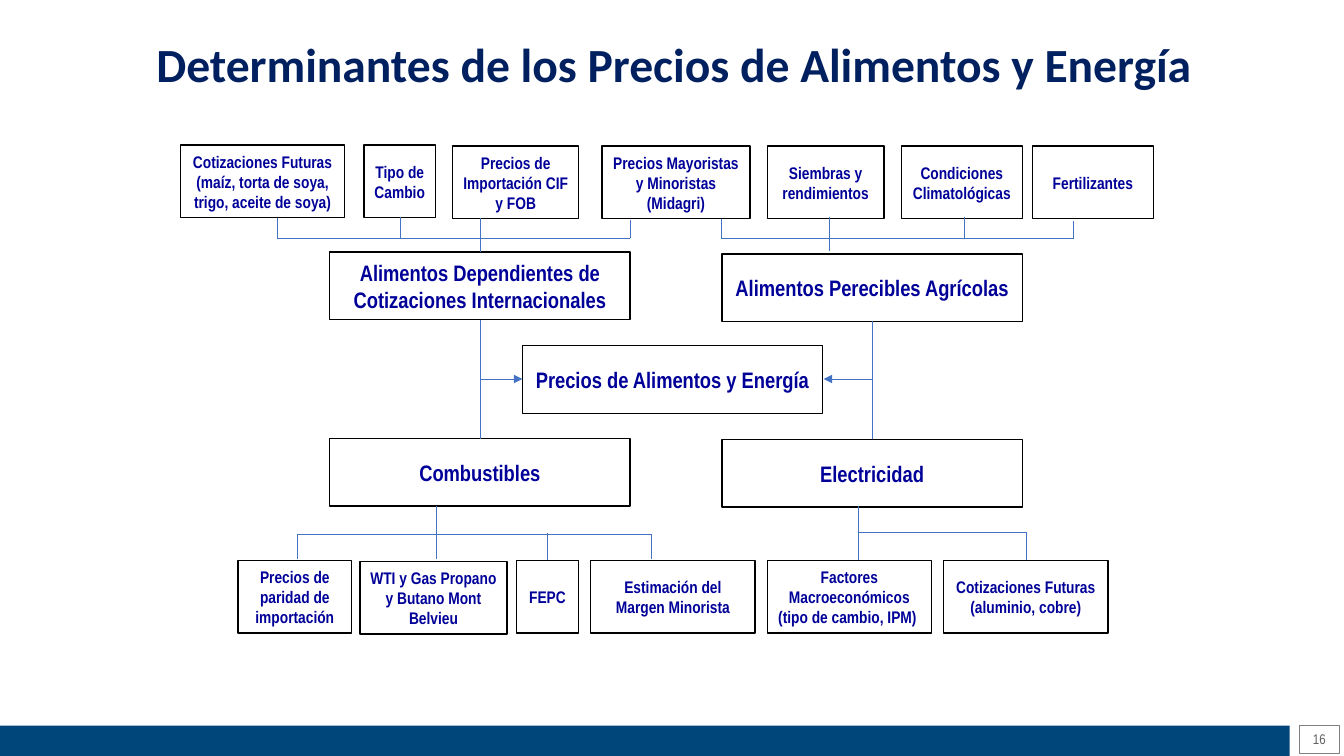
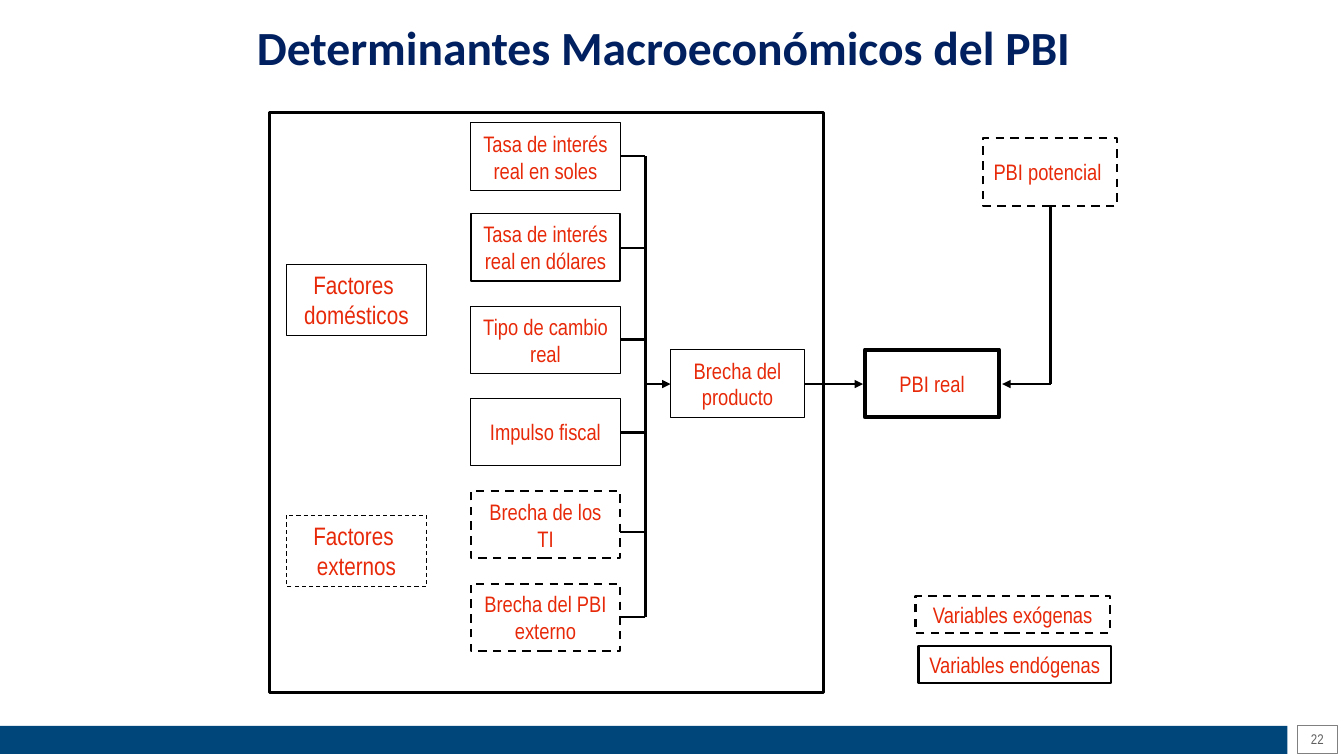
from lxml import etree
from pptx import Presentation
from pptx.dml.color import RGBColor
from pptx.enum.dml import MSO_LINE
from pptx.enum.shapes import MSO_CONNECTOR, MSO_SHAPE
from pptx.enum.text import MSO_ANCHOR, PP_ALIGN
from pptx.oxml.ns import qn
from pptx.util import Inches, Pt

# Colours and fonts
BLACK = RGBColor(0x00, 0x00, 0x00)
BAND_BLUE = RGBColor(0x00, 0x46, 0x7A)
TITLE_NAVY = RGBColor(0x00, 0x20, 0x60)
TEXT_BLUE = RGBColor(0x00, 0x00, 0x99)
TEXT_RED = RGBColor(0xE7, 0x29, 0x09)
LINK_BLUE = RGBColor(0x44, 0x72, 0xC4)
NUMBER_GRAY = RGBColor(0x5F, 0x5F, 0x5F)
FRAME_GRAY = RGBColor(0x80, 0x80, 0x80)
BODY_FONT = "Arial Narrow"
TITLE_FONT = "Calibri"


# Elements
def write(shape, text, *, size, color, font=BODY_FONT, bold=False,
          align=PP_ALIGN.CENTER, anchor=MSO_ANCHOR.MIDDLE, wrap=True):
    """Fill a shape with text, one paragraph for each line."""
    frame = shape.text_frame
    frame.word_wrap = wrap
    frame.vertical_anchor = anchor
    for index, line in enumerate(text.split("\n")):
        para = frame.paragraphs[0] if index == 0 else frame.add_paragraph()
        para.alignment = align
        span = para.add_run()
        span.text = line
        span.font.name = font
        span.font.size = Pt(size)
        span.font.bold = bold
        span.font.color.rgb = color


def add_box(page, left, top, width, height, *, fill=None, line=BLACK,
            weight=1, dashed=False):
    """Draw a rectangle; None for fill or line leaves it out."""
    box = page.shapes.add_shape(MSO_SHAPE.RECTANGLE, Inches(left), Inches(top),
                                Inches(width), Inches(height))
    box.shadow.inherit = False
    if fill is None:
        box.fill.background()
    else:
        box.fill.solid()
        box.fill.fore_color.rgb = fill
    if line is None:
        box.line.fill.background()
    else:
        box.line.color.rgb = line
        box.line.width = Pt(weight)
        if dashed:
            box.line.dash_style = MSO_LINE.DASH
    return box


def add_path(page, *points, color, weight, arrow=False):
    """Join points with straight lines; the arrowhead ends the last one."""
    for start, end in zip(points, points[1:]):
        link = page.shapes.add_connector(
            MSO_CONNECTOR.STRAIGHT, *(Inches(value) for value in start + end))
        link.line.color.rgb = color
        link.line.width = Pt(weight)
        etree.SubElement(link._element.spPr, qn("a:effectLst"))
        if arrow and end == points[-1]:
            head = etree.SubElement(link.line._get_or_add_ln(), qn("a:tailEnd"))
            head.set("type", "triangle")


def add_title(page, text, left, top, width, align):
    box = page.shapes.add_textbox(Inches(left), Inches(top),
                                  Inches(width), Inches(0.59))
    write(box, text, size=34, color=TITLE_NAVY, font=TITLE_FONT, bold=True,
          align=align)


def add_footer(page, number, band_width, band_height):
    add_box(page, 0, 7.2, band_width, band_height, fill=BAND_BLUE, line=None)
    frame = add_box(page, band_width + 0.1, 7.2, 0.39, 0.27,
                    line=FRAME_GRAY, weight=0.5)
    write(frame, str(number), size=10, color=NUMBER_GRAY)


# Slide: food and energy prices
def build_prices(page):
    add_footer(page, 16, 12.79, 0.33)
    add_title(page, "Determinantes de los Precios de Alimentos y Energía",
              0.39, 0.33, 12.59, PP_ALIGN.CENTER)

    # Groups and the result in the middle
    groups = [
        (3.27, 2.5, "Alimentos Dependientes de Cotizaciones Internacionales"),
        (7.16, 2.52, "Alimentos Perecibles Agrícolas"),
        (5.18, 3.43, "Precios de Alimentos y Energía"),
        (3.27, 4.35, "Combustibles"),
        (7.16, 4.36, "Electricidad"),
    ]
    for left, top, text in groups:
        write(add_box(page, left, top, 2.98, 0.67), text,
              size=16, color=TEXT_BLUE, bold=True)

    # Factors above and below
    factors = [
        (1.79, 1.44, 1.63,
         "Cotizaciones Futuras\n(maíz, torta de soya, trigo, aceite de soya)"),
        (3.61, 1.44, 0.71, "Tipo de Cambio"),
        (4.49, 1.45, 1.25, "Precios de Importación CIF y FOB"),
        (5.97, 1.45, 1.47, "Precios Mayoristas y Minoristas (Midagri)"),
        (7.61, 1.45, 1.16, "Siembras y rendimientos"),
        (8.94, 1.45, 1.2, "Condiciones Climatológicas"),
        (10.24, 1.45, 1.2, "Fertilizantes"),
        (2.36, 5.56, 1.13, "Precios de paridad de importación"),
        (3.57, 5.57, 1.46, "WTI y Gas Propano y Butano Mont Belvieu"),
        (5.12, 5.56, 0.62, "FEPC"),
        (5.86, 5.56, 1.63, "Estimación del Margen Minorista"),
        (7.61, 5.56, 1.63,
         "Factores Macroeconómicos\n(tipo de cambio, IPM) "),
        (9.36, 5.56, 1.63, "Cotizaciones Futuras\n(aluminio, cobre)"),
    ]
    for left, top, width, text in factors:
        write(add_box(page, left, top, width, 0.72), text,
              size=12, color=TEXT_BLUE, bold=True)

    # Brackets, then the single lines that meet them
    paths = [
        [(2.75, 2.16), (2.75, 2.36), (6.25, 2.36), (6.25, 2.18)],
        [(7.15, 2.17), (7.15, 2.36), (10.65, 2.36), (10.65, 2.19)],
        [(2.95, 5.55), (2.95, 5.3), (6.46, 5.3), (6.46, 5.55)],
        [(8.51, 5.28), (10.18, 5.28), (10.18, 5.56)],
        [(3.97, 2.15), (3.97, 2.36)],
        [(4.76, 2.16), (4.76, 2.5)],
        [(8.23, 2.15), (8.23, 2.49)],
        [(9.56, 2.15), (9.56, 2.36)],
        [(4.33, 5.02), (4.33, 5.55)],
        [(5.43, 5.29), (5.43, 5.56)],
        [(8.51, 5.02), (8.51, 5.56)],
    ]
    for points in paths:
        add_path(page, *points, color=LINK_BLUE, weight=0.5)

    # Spines between groups, each with an arrow to the result
    for spine, top, target in [(4.76, 3.17, 5.18), (8.65, 3.18, 8.17)]:
        add_path(page, (spine, top), (spine, 4.36),
                 color=LINK_BLUE, weight=0.5)
        add_path(page, (spine, 3.76), (target, 3.76),
                 color=LINK_BLUE, weight=0.5, arrow=True)


# Slide: drivers of output
def build_output(page):
    add_footer(page, 22, 12.77, 0.28)
    add_title(page, "Determinantes Macroeconómicos del PBI",
              2.45, 0.17, 9.18, PP_ALIGN.LEFT)
    add_box(page, 2.67, 1.12, 5.5, 5.75, weight=2)

    # Kinds of factor
    for top, text, dashed in [(2.62, "Factores \ndomésticos", False),
                              (5.11, "Factores \nexternos", True)]:
        write(add_box(page, 2.84, top, 1.39, 0.71, weight=0.75, dashed=dashed),
              text, size=18, color=TEXT_RED, anchor=MSO_ANCHOR.TOP)

    # Variables: left, top, width, weight, dashed, text
    variables = [
        (4.67, 1.22, 1.48, 0.75, False, "Tasa de interés real en soles"),
        (4.67, 2.12, 1.48, 1, False, "Tasa de interés real en dólares"),
        (4.67, 3.04, 1.48, 0.75, False, "Tipo de cambio real"),
        (4.67, 3.95, 1.48, 0.75, False, "Impulso fiscal"),
        (4.67, 4.87, 1.48, 1.5, True, "Brecha de los TI"),
        (4.67, 5.79, 1.48, 1.5, True, "Brecha del PBI externo"),
        (6.65, 3.47, 1.33, 0.75, False, "Brecha del producto"),
        (8.58, 3.47, 1.33, 3, False, "PBI real"),
        (9.75, 1.37, 1.33, 1.5, True, "PBI potencial "),
    ]
    for left, top, width, weight, dashed, text in variables:
        write(add_box(page, left, top, width, 0.67, weight=weight,
                      dashed=dashed), text, size=16, color=TEXT_RED)

    # Legend
    for left, top, width, dashed, text in [
            (9.08, 5.91, 1.93, True, "Variables exógenas"),
            (9.11, 6.41, 1.91, False, "Variables endógenas")]:
        write(add_box(page, left, top, width, 0.37, weight=1.5, dashed=dashed),
              text, size=16, color=TEXT_RED, wrap=False)

    # Bracket around the factors, with a stub for each inner one
    add_path(page, (6.15, 1.55), (6.4, 1.55), (6.4, 6.12), (6.15, 6.12),
             color=BLACK, weight=1.75)
    for middle in (2.46, 3.37, 4.29, 5.28):
        add_path(page, (6.15, middle), (6.4, middle),
                 color=BLACK, weight=1.75)

    # Arrows to the gap and to output
    for points in [[(6.4, 3.81), (6.65, 3.81)],
                   [(7.98, 3.81), (8.56, 3.81)],
                   [(10.42, 2.05), (10.42, 3.81), (9.94, 3.81)]]:
        add_path(page, *points, color=BLACK, weight=1.75, arrow=True)


def main():
    deck = Presentation()
    deck.slide_width = Inches(13.33)
    deck.slide_height = Inches(7.5)
    for build in (build_prices, build_output):
        build(deck.slides.add_slide(deck.slide_layouts[6]))
    deck.save("out.pptx")


if __name__ == "__main__":
    main()
